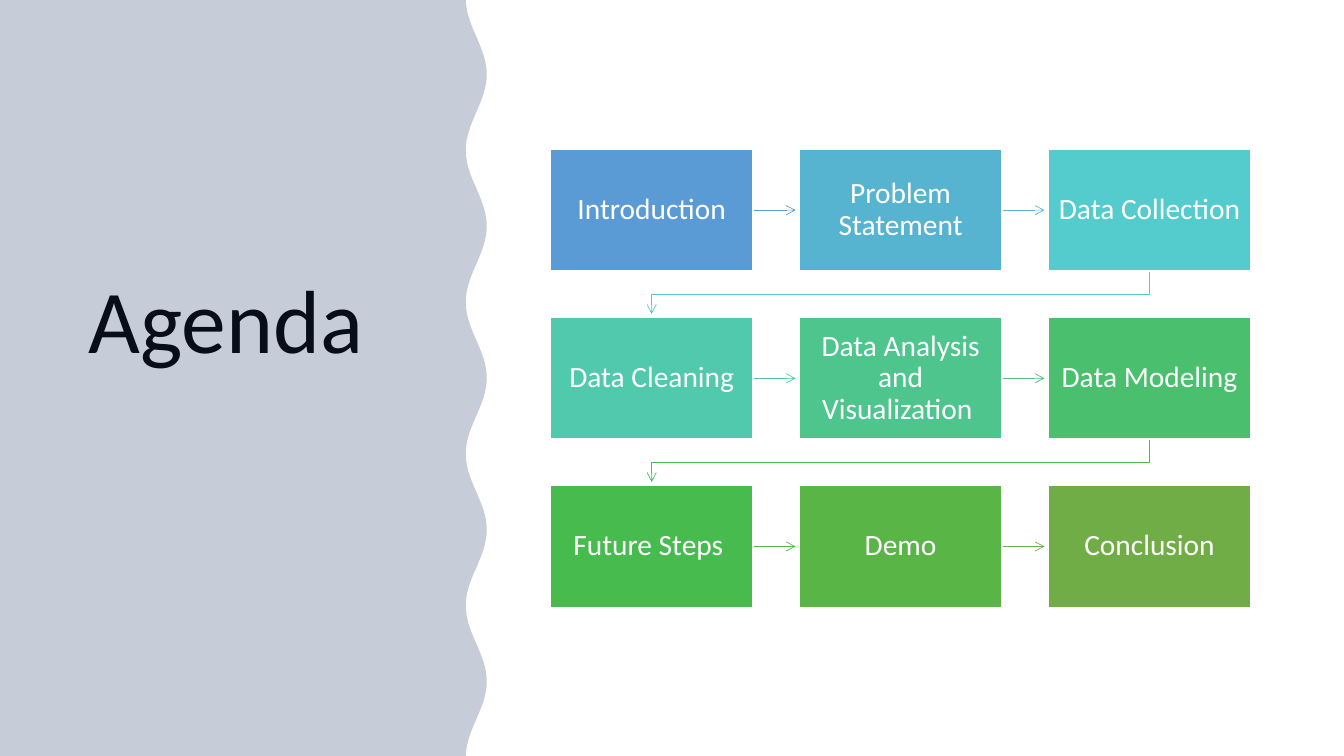
from math import cos, pi

from lxml.etree import SubElement
from pptx import Presentation
from pptx.dml.color import RGBColor
from pptx.enum.shapes import MSO_CONNECTOR as Connector, MSO_SHAPE as Shape
from pptx.enum.text import MSO_ANCHOR as Anchor, MSO_AUTO_SIZE as AutoSize, PP_ALIGN as Align
from pptx.oxml.ns import qn
from pptx.util import Pt

SLIDE_W, SLIDE_H = 960, 540
BOX_W, BOX_H = 144.8, 86.9
GRID_LEFT, GRID_TOP = 393.1, 106.7
PITCH_X, PITCH_Y = 177.8, 120.1
COLUMNS = 3
WAVE_CENTER, WAVE_HEIGHT, WAVE_PERIOD = 340.2, 7.5, 108.4
WAVE_STEP = 4

AGENDA = [
    ("Introduction", "5B9BD5", "5B9BD5"),
    ("Problem Statement", "57B4D1", "57B7D1"),
    ("Data Collection", "54CCCD", "53CCC5"),
    ("Data Cleaning", "51C9AD", "4FC7A0"),
    ("Data Analysis and Visualization ", "4DC58D", "4CC27B"),
    ("Data Modeling", "4AC06E", "48BD58"),
    ("Future Steps ", "48BB4F", "55B646"),
    ("Demo", "59B546", "70AD47"),
    ("Conclusion", "70AD47", None),
]


def rgb(code):
    return RGBColor.from_string(code)


class AgendaSlide:
    """Draws styled elements on one slide, with lengths in points."""

    font = "Calibri"

    def __init__(self, deck):
        self.slide = deck.slides.add_slide(deck.slide_layouts[5])
        self.shapes = self.slide.shapes

    def set_text(self, frame, text, size, color, anchor):
        frame.text = text
        frame.word_wrap = True
        frame.auto_size = AutoSize.NONE
        frame.vertical_anchor = anchor
        line = frame.paragraphs[0]
        line.alignment = Align.CENTER
        line.line_spacing = 0.9
        line.font.name = self.font
        line.font.size = Pt(size)
        line.font.color.rgb = rgb(color)

    def title(self, text, left, top, width, height):
        heading = self.shapes.title
        heading.left, heading.top = Pt(left), Pt(top)
        heading.width, heading.height = Pt(width), Pt(height)
        self.set_text(heading.text_frame, text, 64, "000000", Anchor.BOTTOM)

    def outline(self, points, close):
        start, *rest = [(Pt(x), Pt(y)) for x, y in points]
        builder = self.shapes.build_freeform(*start)
        builder.add_line_segments(rest, close=close)
        form = builder.convert_to_shape()
        form.shadow.inherit = False
        return form

    def panel(self, points, color, opacity):
        form = self.outline(points, True)
        form.fill.solid()
        form.fill.fore_color.rgb = rgb(color)
        form.line.fill.background()
        tint = form._element.spPr.find(f".//{qn('a:srgbClr')}")
        SubElement(tint, qn("a:alpha"), val=str(opacity * 1000))

    def arrow(self, points, color):
        straight = len(points) == 2
        if straight:
            ends = [Pt(value) for point in points for value in point]
            path_line = self.shapes.add_connector(Connector.STRAIGHT, *ends)
        else:
            path_line = self.outline(points, False)
            path_line.fill.background()
        path_line.line.color.rgb = rgb(color)
        path_line.line.width = Pt(0.5)
        stroke = path_line._element.spPr.find(qn("a:ln"))
        SubElement(stroke, qn("a:tailEnd"), type="arrow")
        if straight:
            SubElement(path_line._element.spPr, qn("a:effectLst"))

    def box(self, text, left, top, color):
        step = self.shapes.add_shape(
            Shape.RECTANGLE, Pt(left), Pt(top), Pt(BOX_W), Pt(BOX_H))
        step.shadow.inherit = False
        step.fill.solid()
        step.fill.fore_color.rgb = rgb(color)
        step.line.color.rgb = rgb("FFFFFF")
        step.line.width = Pt(1)
        frame = step.text_frame
        frame.margin_left = frame.margin_right = Pt(7)
        frame.margin_top = frame.margin_bottom = Pt(7)
        self.set_text(frame, text, 21, "FFFFFF", Anchor.MIDDLE)


def wave_edge():
    return [
        (WAVE_CENTER + WAVE_HEIGHT * cos(2 * pi * (y - SLIDE_H / 2) / WAVE_PERIOD), y)
        for y in range(0, SLIDE_H + 1, WAVE_STEP)
    ]


def route(left, top, ends_row):
    if not ends_row:
        middle = top + BOX_H / 2
        return [(left + BOX_W, middle), (left + PITCH_X - 2.6, middle)]
    start_x, end_x = left + BOX_W / 2, GRID_LEFT + BOX_W / 2
    bottom = top + BOX_H
    turn = bottom + (PITCH_Y - BOX_H) / 2
    return [(start_x, bottom), (start_x, turn), (end_x, turn),
            (end_x, top + PITCH_Y - 2.6)]


def main():
    deck = Presentation()
    deck.slide_width, deck.slide_height = Pt(SLIDE_W), Pt(SLIDE_H)
    agenda = AgendaSlide(deck)
    agenda.panel([(0, 0), *wave_edge(), (0, SLIDE_H)], "203864", 25)
    agenda.title("Agenda", 33.8, 162, 254.9, 108)
    for index, (topic, fill, arrow_color) in enumerate(AGENDA):
        row, column = divmod(index, COLUMNS)
        left, top = GRID_LEFT + column * PITCH_X, GRID_TOP + row * PITCH_Y
        if arrow_color:
            agenda.arrow(route(left, top, column == COLUMNS - 1), arrow_color)
        agenda.box(topic, left, top, fill)
    deck.save("out.pptx")


if __name__ == "__main__":
    main()
